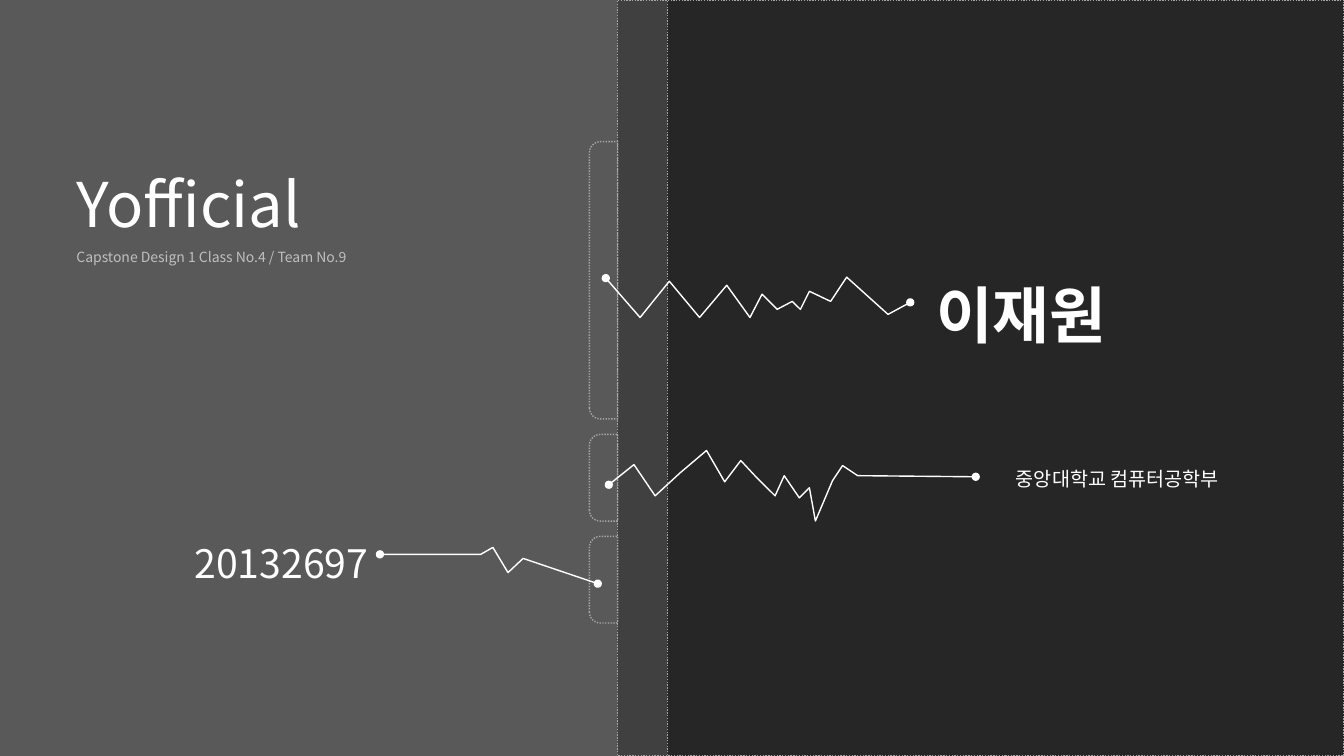
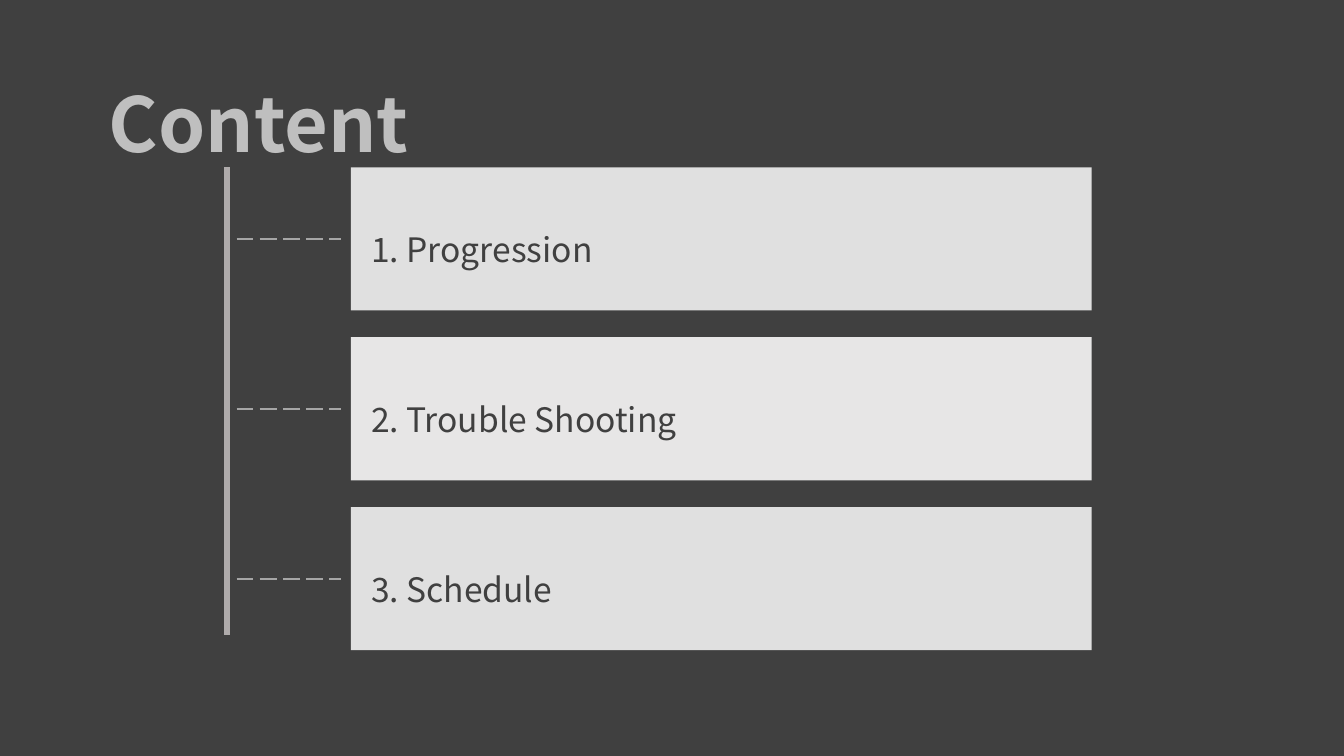
from dataclasses import dataclass

from lxml import etree
from pptx import Presentation
from pptx.dml.color import RGBColor
from pptx.enum import dml, shapes, text
from pptx.oxml import ns
from pptx.util import Pt


@dataclass(frozen=True)
class Theme:
    font: str = "Noto Sans CJK KR"
    cover: str = "595959"
    slate: str = "404040"
    panel: str = "262626"
    white: str = "FFFFFF"
    muted: str = "BFBFBF"
    outline: str = "A6A6A6"
    rail: str = "AFABAB"
    card: str = "E0E0E0"
    card_alt: str = "E7E6E6"
    heading: float = 54
    name: float = 44
    number: float = 28
    item: float = 24
    label: float = 14
    caption: float = 10
    spacing: float = 1.5


theme = Theme()
rgb = RGBColor.from_string


def write(frame, lines):
    for index, (words, size, color, bold) in enumerate(lines):
        paragraph = frame.add_paragraph() if index else frame.paragraphs[0]
        paragraph.text = words
        paragraph.alignment = text.PP_ALIGN.LEFT
        paragraph.line_spacing = theme.spacing
        font = paragraph.font
        font.name, font.size, font.bold = theme.font, Pt(size), bold
        font.color.rgb = rgb(color)
        defaults = paragraph._p.pPr.find(ns.qn("a:defRPr"))
        etree.SubElement(defaults, ns.qn("a:ea"), typeface=theme.font)


def add_block(slide, kind, left, top, width, height, fill=None, dotted=False):
    block = slide.shapes.add_shape(kind, Pt(left), Pt(top), Pt(width), Pt(height))
    block.shadow.inherit = False
    if fill:
        block.fill.solid()
        block.fill.fore_color.rgb = rgb(fill)
    else:
        block.fill.background()
    if dotted:
        block.line.color.rgb = rgb(theme.outline)
        block.line.width = Pt(1)
        block.line.dash_style = dml.MSO_LINE.ROUND_DOT
    else:
        block.line.fill.background()
    return block


deck = Presentation()
deck.slide_width, deck.slide_height = Pt(960), Pt(540)
blank = deck.slide_layouts[6]
cover, contents = deck.slides.add_slide(blank), deck.slides.add_slide(blank)
for slide, color in ((cover, theme.cover), (contents, theme.slate)):
    slide.background.fill.solid()
    slide.background.fill.fore_color.rgb = rgb(color)

RECT = shapes.MSO_SHAPE.RECTANGLE
spine_left, panel_left = 441.2, 476.8
add_block(cover, RECT, spine_left, 0, 960 - spine_left, 540, theme.slate, True)

tab_depth = 20.2
for top, length in ((101.2, 198), (310.3, 61.9), (383.1, 61.9)):
    tab = add_block(
        cover, shapes.MSO_SHAPE.ROUND_2_SAME_RECTANGLE,
        spine_left - (tab_depth + length) / 2, top + (length - tab_depth) / 2,
        length, tab_depth, dotted=True,
    )
    tab.adjustments[0] = 0.385
    tab.rotation = 270

add_block(cover, RECT, panel_left, 0, 960 - panel_left, 540, theme.panel, True)

name_trace = [
    (432.7, 198.7), (457.2, 226.8), (478.1, 200.9), (499.7, 226.8), (519.1, 203.8),
    (535.7, 226.8), (544.3, 210.2), (555.1, 221), (565.9, 215.3), (571.7, 221),
    (578.2, 208.1), (593.3, 215.3), (604.8, 198), (634.3, 224.6), (650.2, 216),
]
school_trace = [
    (434.9, 346.3), (452.9, 331.9), (468, 354.2), (486, 337.7), (504.7, 321.8),
    (517.7, 344.2), (529.2, 329), (540, 340.6), (553.7, 354.2), (560.2, 339.8),
    (571, 355.7), (578.2, 348.5), (582.5, 372.2), (594.7, 343.4), (601.9, 332.6),
    (612.7, 339.8), (697, 340.6),
]
number_trace = [
    (271.4, 396), (343.4, 396), (352.1, 391), (362.9, 409), (373.7, 398.9),
    (427, 416.9),
]
for trace in (name_trace, school_trace, number_trace):
    points = [(Pt(x), Pt(y)) for x, y in trace]
    builder = cover.shapes.build_freeform(*points[0])
    builder.add_line_segments(points[1:], close=False)
    pulse = builder.convert_to_shape()
    pulse.shadow.inherit = False
    pulse.fill.background()
    pulse.line.color.rgb = rgb(theme.white)
    pulse.line.width = Pt(1)
    stroke = pulse._element.spPr.find(ns.qn("a:ln"))
    for end in ("a:headEnd", "a:tailEnd"):
        etree.SubElement(stroke, ns.qn(end), type="oval")

captions = [
    (cover, (47.5, 88.6, 309.6, 105.1), True, [
        ("Yofficial", theme.name, theme.white, False),
        ("Capstone Design 1 Class No.4 / Team No.9", theme.caption, theme.muted, False),
    ]),
    (cover, (661.7, 167.8, 147.6, 77), False,
     [("이재원", theme.name, theme.white, True)]),
    (cover, (718.6, 321.8, 175, 29.5), False,
     [("중앙대학교 컴퓨터공학부", theme.label, theme.white, False)]),
    (cover, (131.8, 365, 151.2, 51.8), True,
     [("20132697", theme.number, theme.white, False)]),
    (contents, (70.6, 18.7, 380.2, 92.9), True,
     [("Content", theme.heading, theme.muted, True)]),
]
for slide, place, wraps, lines in captions:
    frame = slide.shapes.add_textbox(*map(Pt, place)).text_frame
    frame.word_wrap = wraps
    frame.auto_size = text.MSO_AUTO_SIZE.SHAPE_TO_FIT_TEXT
    write(frame, lines)

first_top, card_height, pitch = 119.5, 102.2, 121.4
rules = [(162, first_top, 162, 453.6, theme.rail, 4.5, None)]
agenda = ("1. Progression", "2. Trouble Shooting", "3. Schedule")
for index, topic in enumerate(agenda):
    top = first_top + index * pitch
    fill = theme.card_alt if index % 2 else theme.card
    card = add_block(contents, RECT, 250.6, top, 529.2, card_height, fill)
    frame = card.text_frame
    frame.word_wrap = True
    frame.margin_left = Pt(14.4)
    frame.vertical_anchor = text.MSO_ANCHOR.MIDDLE
    write(frame, [(topic, theme.item, theme.slate, False)])
    middle = top + card_height / 2
    rules.append((169, middle, 243.6, middle, theme.outline, 1.5, dml.MSO_LINE.LONG_DASH))

for x1, y1, x2, y2, color, weight, dash in rules:
    rule = contents.shapes.add_connector(
        shapes.MSO_CONNECTOR.STRAIGHT, Pt(x1), Pt(y1), Pt(x2), Pt(y2))
    rule.line.color.rgb = rgb(color)
    rule.line.width = Pt(weight)
    rule.line.dash_style = dash
    etree.SubElement(rule._element.spPr, ns.qn("a:effectLst"))

deck.save("out.pptx")
